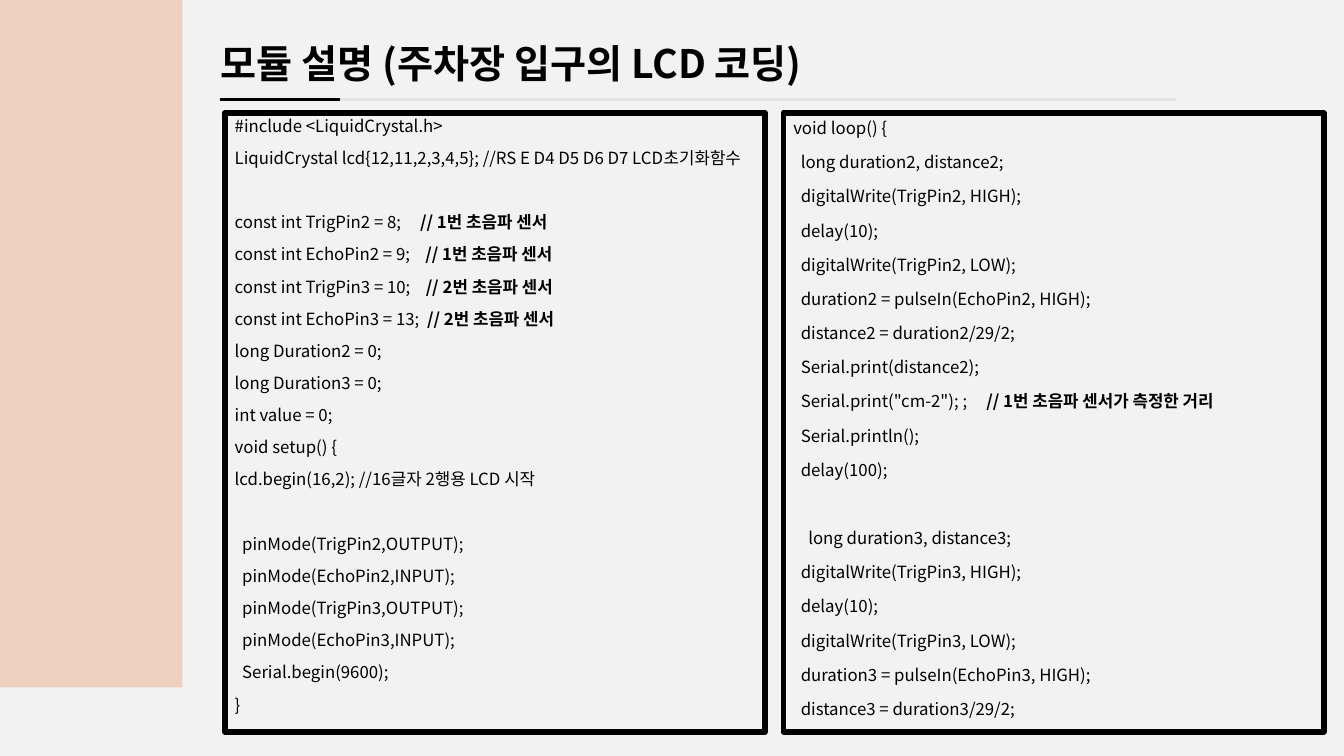
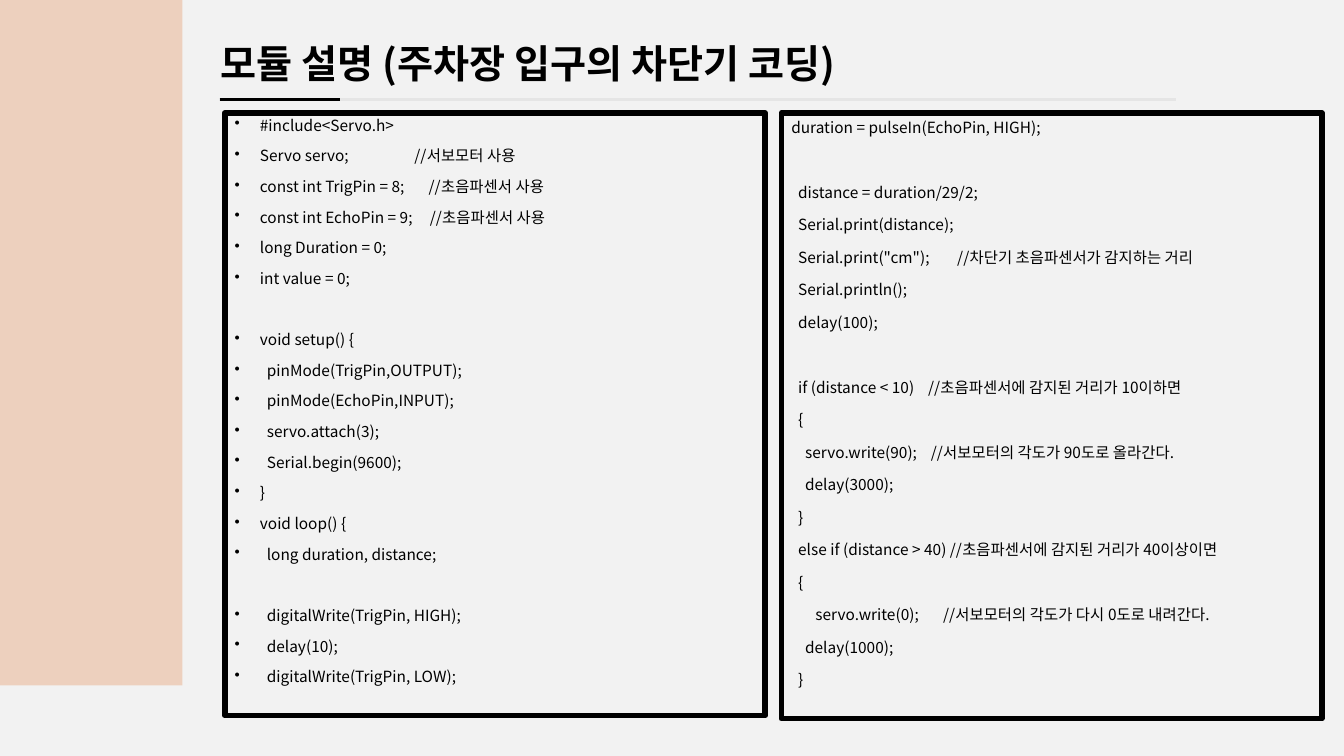
from lxml import etree
from pptx import Presentation
from pptx import util as u
from pptx.dml import color
from pptx.enum import shapes, text
from pptx.oxml import ns

PX = 9144
theme = {
    "font": "Noto Sans CJK KR",
    "back": color.RGBColor.from_string("F2F2F2"),
    "band": color.RGBColor.from_string("EDD0BE"),
    "rule": color.RGBColor.from_string("E5E5E5"),
    "ink": color.RGBColor.from_string("000000"),
    "title": 28,
    "border": 4,
    "thin": 2,
    "space": 10,
    "tight": 0.9,
    "loose": 1.0,
    "em": 1.2,
}

entry_a = """#include <LiquidCrystal.h>
LiquidCrystal lcd{12,11,2,3,4,5}; //RS E D4 D5 D6 D7 LCD초기화함수

const int TrigPin2 = 8;     // 1번 초음파 센서
const int EchoPin2 = 9;    // 1번 초음파 센서
const int TrigPin3 = 10;    // 2번 초음파 센서
const int EchoPin3 = 13;  // 2번 초음파 센서
long Duration2 = 0;
long Duration3 = 0;
int value = 0;
void setup() {
lcd.begin(16,2); //16글자 2행용 LCD 시작

  pinMode(TrigPin2,OUTPUT);
  pinMode(EchoPin2,INPUT);
  pinMode(TrigPin3,OUTPUT);
  pinMode(EchoPin3,INPUT);
  Serial.begin(9600);
}"""

entry_b = """void loop() {
  long duration2, distance2;
  digitalWrite(TrigPin2, HIGH);
  delay(10);
  digitalWrite(TrigPin2, LOW);
  duration2 = pulseIn(EchoPin2, HIGH);
  distance2 = duration2/29/2;
  Serial.print(distance2);
  Serial.print("cm-2"); ;     // 1번 초음파 센서가 측정한 거리
  Serial.println();
  delay(100);

    long duration3, distance3;
  digitalWrite(TrigPin3, HIGH);
  delay(10);
  digitalWrite(TrigPin3, LOW);
  duration3 = pulseIn(EchoPin3, HIGH);
  distance3 = duration3/29/2;"""

gate_a = """#include<Servo.h>
Servo servo;                   //서보모터 사용
const int TrigPin = 8;       //초음파센서 사용
const int EchoPin = 9;     //초음파센서 사용
long Duration = 0;
int value = 0;

void setup() {
  pinMode(TrigPin,OUTPUT);
  pinMode(EchoPin,INPUT);
  servo.attach(3);
  Serial.begin(9600);
}
void loop() {
  long duration, distance;

  digitalWrite(TrigPin, HIGH);
  delay(10);
  digitalWrite(TrigPin, LOW);"""

gate_b = """duration = pulseIn(EchoPin, HIGH);

  distance = duration/29/2;
  Serial.print(distance);
  Serial.print("cm");        //차단기 초음파센서가 감지하는 거리
  Serial.println();
  delay(100);

  if (distance < 10)    //초음파센서에 감지된 거리가 10이하면
  {
    servo.write(90);    //서보모터의 각도가 90도로 올라간다.
    delay(3000);
  }
  else if (distance > 40) //초음파센서에 감지된 거리가 40이상이면
  {
       servo.write(0);       //서보모터의 각도가 다시 0도로 내려간다.
    delay(1000);
  }"""

pages = [
    {"title": "모듈 설명 (주차장 입구의 LCD 코딩)", "top": 0, "size": 12, "dots": False,
     "panels": [(223, 614, "tight", entry_a), (777, 614, "loose", entry_b)]},
    {"title": "모듈 설명 (주차장 입구의 차단기 코딩)", "top": -2, "size": 11, "dots": True,
     "panels": [(223, 598, "tight", gate_a), (775, 601, "loose", gate_b)]},
]


def style(item, values):
    for name, value in values.items():
        setattr(item, name, value)


def write(para, words, size, bold):
    run = para.add_run()
    run.text = words
    style(run.font, {"name": theme["font"], "size": u.Pt(size), "bold": bold})
    run.font.color.rgb = theme["ink"]


deck = Presentation()
style(deck, {"slide_width": 1333 * PX, "slide_height": 750 * PX})

for page in pages:
    slide = deck.slides.add_slide(deck.slide_layouts[6])
    slide.background.fill.solid()
    slide.background.fill.fore_color.rgb = theme["back"]
    draw = slide.shapes

    band = draw.add_shape(shapes.MSO_SHAPE.RECTANGLE, 0, page["top"] * PX, 181 * PX, 682 * PX)
    band.shadow.inherit = False
    band.fill.solid()
    band.fill.fore_color.rgb = theme["band"]
    band.line.fill.background()

    title = draw.add_textbox(209 * PX, 11 * PX, 1031 * PX, 72 * PX).text_frame
    style(title, {
        "word_wrap": True,
        "vertical_anchor": text.MSO_ANCHOR.TOP,
        "auto_size": text.MSO_AUTO_SIZE.SHAPE_TO_FIT_TEXT,
    })
    title.paragraphs[0].line_spacing = 1.5
    write(title.paragraphs[0], page["title"], theme["title"], True)

    for left, right, tint in ((217, 1166, "rule"), (218, 337, "ink")):
        rule = draw.add_connector(shapes.MSO_CONNECTOR.STRAIGHT, left * PX, 99 * PX, right * PX, 99 * PX)
        rule.line.color.rgb = theme[tint]
        rule.line.width = u.Pt(theme["thin"])
        etree.SubElement(rule._element.spPr, ns.qn("a:effectLst"))

    for left, high, pitch, code in page["panels"]:
        panel = draw.add_shape(shapes.MSO_SHAPE.RECTANGLE, left * PX, 112 * PX, 536 * PX, high * PX)
        panel.shadow.inherit = False
        panel.fill.background()
        panel.line.color.rgb = theme["ink"]
        panel.line.width = u.Pt(theme["border"])
        frame = panel.text_frame
        style(frame, {"word_wrap": True, "vertical_anchor": text.MSO_ANCHOR.TOP})

        size, ratio = page["size"], theme[pitch]
        skip = round(theme["space"] + size * theme["em"] * ratio, 1)
        before = 0
        para = frame.paragraphs[0]
        for row, line in enumerate(code.split("\n")):
            if not line:
                before += skip
                continue
            if row:
                para = frame.add_paragraph()
            style(para, {
                "alignment": text.PP_ALIGN.LEFT,
                "line_spacing": ratio,
                "space_before": u.Pt(before),
            })
            if page["dots"] and pitch == "tight":
                props = para._p.get_or_add_pPr()
                props.set("marL", str(25 * PX))
                props.set("indent", str(-25 * PX))
                etree.SubElement(props, ns.qn("a:buChar")).set("char", "•")
            body, mark, note = line.partition("// ")
            write(para, body, size, False)
            if mark:
                write(para, mark + note, size, True)
            before = theme["space"]

deck.save("out.pptx")
